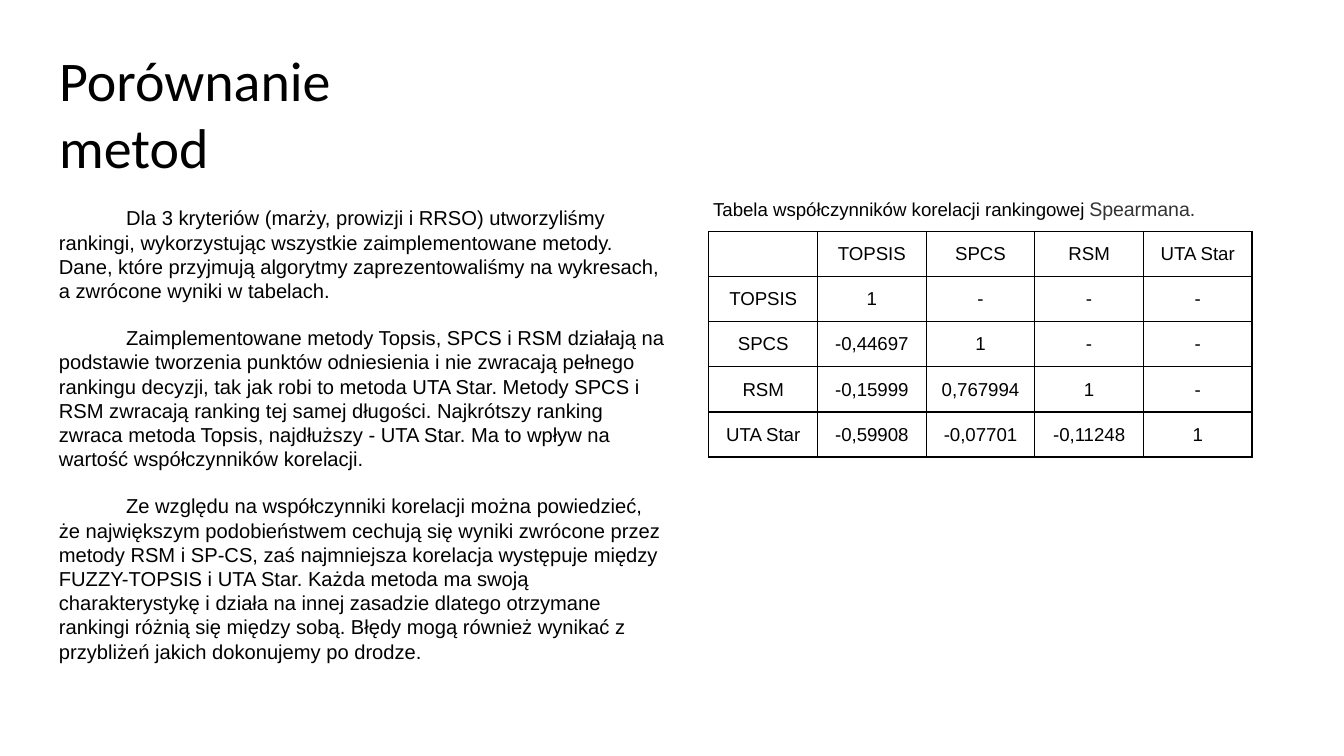
from lxml.etree import SubElement
from pptx import Presentation
from pptx.dml.color import RGBColor
from pptx.enum.text import MSO_ANCHOR, MSO_AUTO_SIZE, PP_ALIGN
from pptx.oxml.ns import qn
from pptx.util import Pt

BLACK = RGBColor(0x00, 0x00, 0x00)
GRAY = RGBColor(0x33, 0x33, 0x33)

TITLE = "Porównanie metod"
PARAGRAPHS = [
    "Dla 3 kryteriów (marży, prowizji i RRSO) utworzyliśmy rankingi, wykorzystując "
    "wszystkie zaimplementowane metody. Dane, które przyjmują algorytmy "
    "zaprezentowaliśmy na wykresach, a zwrócone wyniki w tabelach.",
    "Zaimplementowane metody Topsis, SPCS i RSM działają na podstawie tworzenia "
    "punktów odniesienia i nie zwracają pełnego rankingu decyzji, tak jak robi to "
    "metoda UTA Star. Metody SPCS i RSM zwracają ranking tej samej długości. "
    "Najkrótszy ranking zwraca metoda Topsis, najdłuższy - UTA Star. Ma to wpływ na "
    "wartość współczynników korelacji.",
    "Ze względu na współczynniki korelacji można powiedzieć, że największym "
    "podobieństwem cechują się wyniki zwrócone przez metody RSM i SP-CS, zaś "
    "najmniejsza korelacja występuje między FUZZY-TOPSIS i UTA Star. Każda metoda ma "
    "swoją charakterystykę i działa na innej zasadzie dlatego otrzymane rankingi "
    "różnią się między sobą. Błędy mogą również wynikać z przybliżeń jakich "
    "dokonujemy po drodze.",
]
METHODS = ["TOPSIS", "SPCS", "RSM", "UTA Star"]
CORRELATIONS = [
    ["1", "-", "-", "-"],
    ["-0,44697", "1", "-", "-"],
    ["-0,15999", "0,767994", "1", "-"],
    ["-0,59908", "-0,07701", "-0,11248", "1"],
]


def set_font(font, size, name="Arial", color=BLACK):
    font.size = Pt(size)
    font.name = name
    font.color.rgb = color


def set_frame(frame, anchor=MSO_ANCHOR.TOP):
    frame.word_wrap = True
    frame.auto_size = MSO_AUTO_SIZE.NONE
    frame.vertical_anchor = anchor
    frame.margin_left = frame.margin_right = Pt(7.2)
    frame.margin_top = frame.margin_bottom = Pt(7.2)


def add_text_box(page, box):
    frame = page.shapes.add_textbox(*map(Pt, box)).text_frame
    set_frame(frame)
    return frame


def place_title(page, box):
    title = page.shapes.title
    title.left, title.top, title.width, title.height = map(Pt, box)
    set_frame(title.text_frame, MSO_ANCHOR.BOTTOM)
    title.text_frame.text = TITLE
    para = title.text_frame.paragraphs[0]
    para.alignment = PP_ALIGN.LEFT
    set_font(para.font, 30, "Calibri")


def place_body(page, box):
    frame = add_text_box(page, box)
    frame.text = "\n".join(PARAGRAPHS)
    for index, para in enumerate(frame.paragraphs):
        set_font(para.font, 10.8)
        para.line_spacing = 1.0
        para.space_before = Pt(12.4 if index else 0)
        # First-line indent
        properties = para._p.get_or_add_pPr()
        properties.set("marL", "0")
        properties.set("indent", str(Pt(36)))


def place_caption(page, box):
    para = add_text_box(page, box).paragraphs[0]
    para.line_spacing = 1.15
    for text, size, color in [
        ("Tabela współczynników korelacji rankingowej ", 10, BLACK),
        ("Spearmana.", 10.5, GRAY),
    ]:
        span = para.add_run()
        span.text = text
        set_font(span.font, size, color=color)


def add_borders(cell):
    properties = cell._tc.get_or_add_tcPr()
    for side in ("a:lnL", "a:lnR", "a:lnT", "a:lnB"):
        line = SubElement(properties, qn(side), w=str(Pt(0.75)))
        fill = SubElement(line, qn("a:solidFill"))
        SubElement(fill, qn("a:srgbClr"), val=str(BLACK))


def place_table(page, box):
    rows = [["", *METHODS]]
    rows += [[method, *values] for method, values in zip(METHODS, CORRELATIONS)]
    count = len(rows)
    table = page.shapes.add_table(count, count, *map(Pt, box)).table
    table.first_row = table.horz_banding = False
    for row_index, row in enumerate(rows):
        for column_index, text in enumerate(row):
            cell = table.cell(row_index, column_index)
            cell.margin_left = cell.margin_right = Pt(5)
            cell.margin_top = cell.margin_bottom = Pt(5)
            cell.text = text
            para = cell.text_frame.paragraphs[0]
            para.alignment = PP_ALIGN.CENTER
            para.line_spacing = 1.15
            set_font(para.font, 10)
            # Borders come before the fill in the cell properties
            add_borders(cell)
            cell.fill.background()


def main():
    deck = Presentation()
    deck.slide_width, deck.slide_height = Pt(720), Pt(405)
    page = deck.slides.add_slide(deck.slide_layouts[5])
    place_title(page, (24.5, 44, 221, 59.5))
    place_body(page, (24.5, 103, 340.5, 276))
    place_table(page, (379.75, 124, 291, 121))
    place_caption(page, (375, 96.5, 312.5, 27.5))
    deck.save("out.pptx")


if __name__ == "__main__":
    main()
